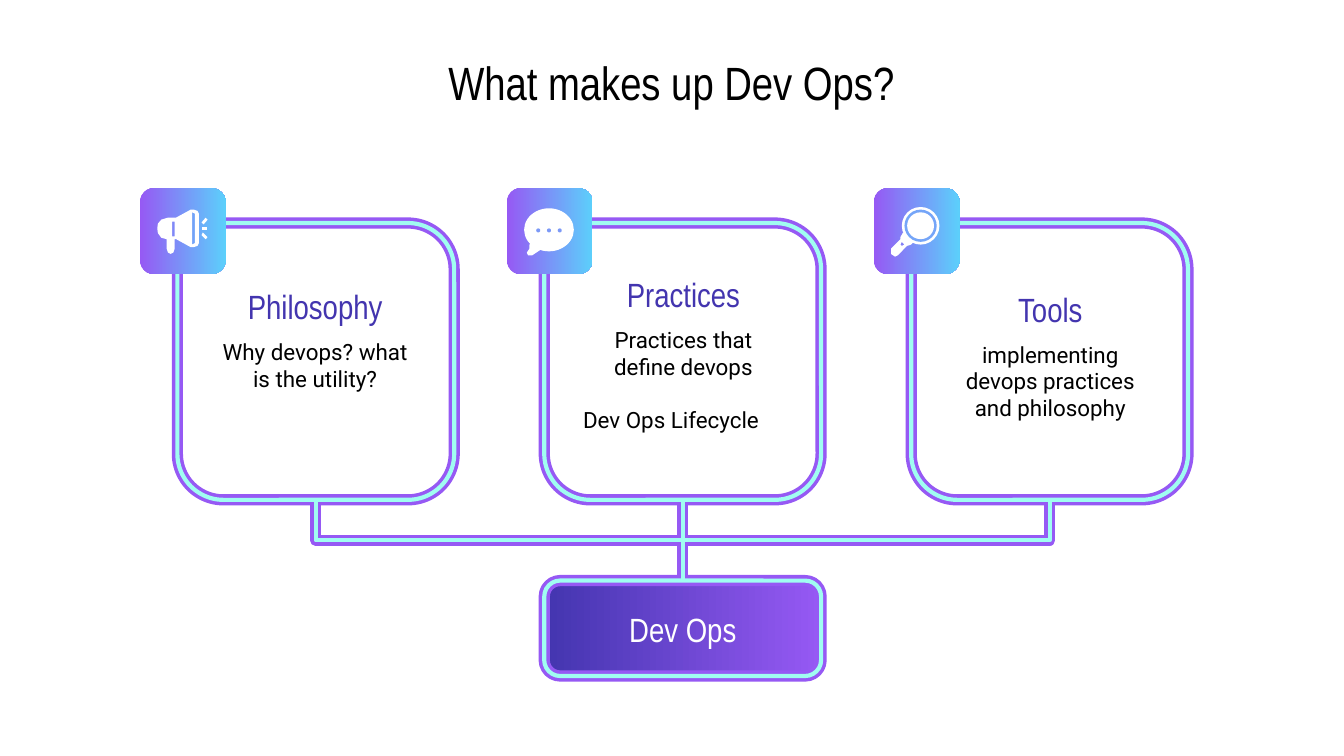
from dataclasses import dataclass
from typing import Optional

from pptx import Presentation
from pptx.dml.color import RGBColor
from pptx.enum import shapes, text
from pptx.oxml import parse_xml
from pptx.oxml.ns import nsdecls
from pptx import util as u

PX = 4572  # 200 px to the inch
PURPLE, AQUA, INDIGO, SKY = "9659F4", "A0FDF1", "4335AF", "5CCFFB"
WHITE, BLACK = "FFFFFF", "000000"
BANDS = ((PURPLE, 6), (AQUA, 2.25))
SIDE, BADGE, STEP = 412, 128, 546
LEFT, TOP = 264, 332
MID, BASE, ROOT = 1016, 744, 864
KIND, LINK = shapes.MSO_SHAPE, shapes.MSO_CONNECTOR


@dataclass
class Card:
    head: str
    body: tuple[str, ...]
    x: int
    y: int


@dataclass
class Oval:
    x: int
    y: int
    w: int
    h: int
    color: str = WHITE


@dataclass
class Outline:
    loops: tuple


CARDS = (
    Card("Philosophy", ("Why devops? what is the utility?",), 300, 428),
    Card("Practices", ("Practices that define devops", "Dev Ops Lifecycle"), 848, 410),
    Card("Tools", ("implementing devops practices and philosophy",), 1394, 432),
)

# Icon parts, measured from the corner of their badge
HORN = (
    Outline((
        ((76, 32), (54, 44), (42, 44), (32, 47), (27, 53), (26, 60), (27, 67),
         (32, 74), (40, 76), (40, 90), (42, 96), (46, 98), (50, 96), (52, 90),
         (52, 76), (54, 76), (76, 88), (80, 88), (86, 86), (88, 82), (88, 38),
         (86, 34), (80, 32)),
        ((52, 50), (52, 72), (48, 72), (48, 50)),
        ((78, 36), (82, 38), (82, 82), (78, 84)),
    )),
    Outline((((92, 51), (98, 44), (101, 47), (95, 54)),)),
    Outline((((92, 58), (100, 58), (100, 62), (92, 62)),)),
    Outline((((94, 66), (101, 73), (98, 76), (92, 70)),)),
)
CHAT = (
    Oval(26, 30, 74, 64),
    Outline((((34, 84), (34, 90), (30, 96), (32, 100), (38, 100), (50, 92), (50, 70)),)),
    *(Oval(44 + 16 * i, 60, 6, 6, "7C99F7") for i in range(3)),
)
LENS = (
    Outline((
        ((44, 66), (40, 73), (40, 76), (26, 90), (26, 98), (32, 102), (36, 100),
         (50, 86), (56, 84), (60, 80)),
        ((42, 80), (46, 84), (42, 86), (40, 84)),
    )),
    Oval(42, 28, 56, 56),
    Oval(46, 32, 48, 48, "75A5F8"),
    Oval(50, 36, 40, 40),
)

deck = Presentation()
deck.slide_width, deck.slide_height = 2000 * PX, 1125 * PX
slide = deck.slides.add_slide(deck.slide_layouts[6])


def rgb(code: str) -> RGBColor:
    return RGBColor.from_string(code)


def paint(shape, fill: tuple[str, ...] = (), line: Optional[tuple] = None) -> None:
    """Give a shape no fill, one colour or a left-to-right blend."""
    shape.shadow.inherit = False
    if len(fill) == 2:
        shape.fill.gradient()
        shape.fill.gradient_angle = 0
        for stop, code in zip(shape.fill.gradient_stops, fill):
            stop.color.rgb = rgb(code)
    elif fill:
        shape.fill.solid()
        shape.fill.fore_color.rgb = rgb(fill[0])
    else:
        shape.fill.background()
    if line:
        shape.line.color.rgb, shape.line.width = rgb(line[0]), u.Pt(line[1])
    else:
        shape.line.fill.background()


def block(kind, x: int, y: int, w: int, h: int, fill=(), line=None) -> None:
    paint(slide.shapes.add_shape(kind, x * PX, y * PX, w * PX, h * PX), fill, line)


def link(x: int, band: tuple) -> None:
    """Join the foot of a card to the top of the root box."""
    if x == MID:
        wire = slide.shapes.add_connector(
            LINK.STRAIGHT, x * PX, BASE * PX, x * PX, ROOT * PX)
    else:
        # An elbow leaves sideways, so lay it flat and turn it upright
        w, h = ROOT - BASE, abs(MID - x)
        mx, my = (x + MID) // 2, (BASE + ROOT) // 2
        ends = [mx - w // 2, mx + w // 2]
        if x < MID:
            ends.reverse()
        wire = slide.shapes.add_connector(
            LINK.ELBOW, ends[0] * PX, (my - h // 2) * PX,
            ends[1] * PX, (my + h // 2) * PX)
        turn = 270 if x < MID else 90
        wire._element.spPr.find("{*}xfrm").set("rot", str(turn * 60000))
    wire.line.color.rgb, wire.line.width = rgb(band[0]), u.Pt(band[1])
    wire.line._get_or_add_ln().append(parse_xml(f"<a:round {nsdecls('a')}/>"))
    wire._element.spPr.append(parse_xml(f"<a:effectLst {nsdecls('a')}/>"))


def icon(parts: tuple, x: int, y: int) -> None:
    for part in parts:
        if isinstance(part, Oval):
            block(KIND.OVAL, x + part.x, y + part.y, part.w, part.h, (part.color,))
            continue
        first, *rest = part.loops
        pen = slide.shapes.build_freeform(*first[0], scale=PX)
        pen.add_line_segments(first[1:])
        for loop in rest:
            pen.move_to(*loop[0])
            pen.add_line_segments(loop[1:])
        paint(pen.convert_to_shape(x * PX, y * PX), (WHITE,))


def write(lines: tuple[str, ...], x: int, y: int, w: int, h: int, size: int,
          color: str, font: str = "Arial Narrow", mid: bool = True) -> None:
    frame = slide.shapes.add_textbox(x * PX, y * PX, w * PX, h * PX).text_frame
    pad = 20 * PX
    look = dict(word_wrap=True, margin_left=pad, margin_right=pad,
                margin_top=pad, margin_bottom=pad,
                vertical_anchor=text.MSO_ANCHOR.MIDDLE if mid else text.MSO_ANCHOR.TOP)
    for key, value in look.items():
        setattr(frame, key, value)
    for i, line in enumerate(lines):
        para = frame.paragraphs[0] if i == 0 else frame.add_paragraph()
        para.alignment = text.PP_ALIGN.LEFT if i else text.PP_ALIGN.CENTER
        if i:
            para.space_before = u.Pt(14)
        run = para.add_run()
        run.text = line
        for key, value in dict(name=font, size=u.Pt(size)).items():
            setattr(run.font, key, value)
        run.font.color.rgb = rgb(color)


# Frames and links, a wide band under a narrow one
spots = [LEFT + STEP * i for i in range(3)]
hubs = [x + SIDE // 2 for x in spots]
for hub in hubs:
    link(hub, BANDS[0])
for band in BANDS:
    for x in spots:
        block(KIND.ROUNDED_RECTANGLE, x, TOP, SIDE, SIDE, line=band)

# Root box
for band, fill in zip(BANDS, ((INDIGO, PURPLE), ())):
    block(KIND.ROUNDED_RECTANGLE, LEFT + STEP, ROOT, SIDE, 142, fill, band)
for hub in hubs:
    link(hub, BANDS[1])

# Badges
for x, parts in zip(spots, (HORN, CHAT, LENS)):
    block(KIND.ROUNDED_RECTANGLE, x - 56, TOP - 52, BADGE, BADGE, (PURPLE, SKY))
    icon(parts, x - 56, TOP - 52)

# Wording
write(("What makes up Dev Ops?",), 112, 66, 1774, 112, 25, BLACK)
for card in CARDS:
    write((card.head,), card.x, card.y, 338, 56, 18, INDIGO)
    write(card.body, card.x, card.y + 55, 338, 166, 12, BLACK, "Roboto", False)
write(("Dev Ops",), 847, 908, 338, 56, 18, WHITE)

deck.save("out.pptx")
